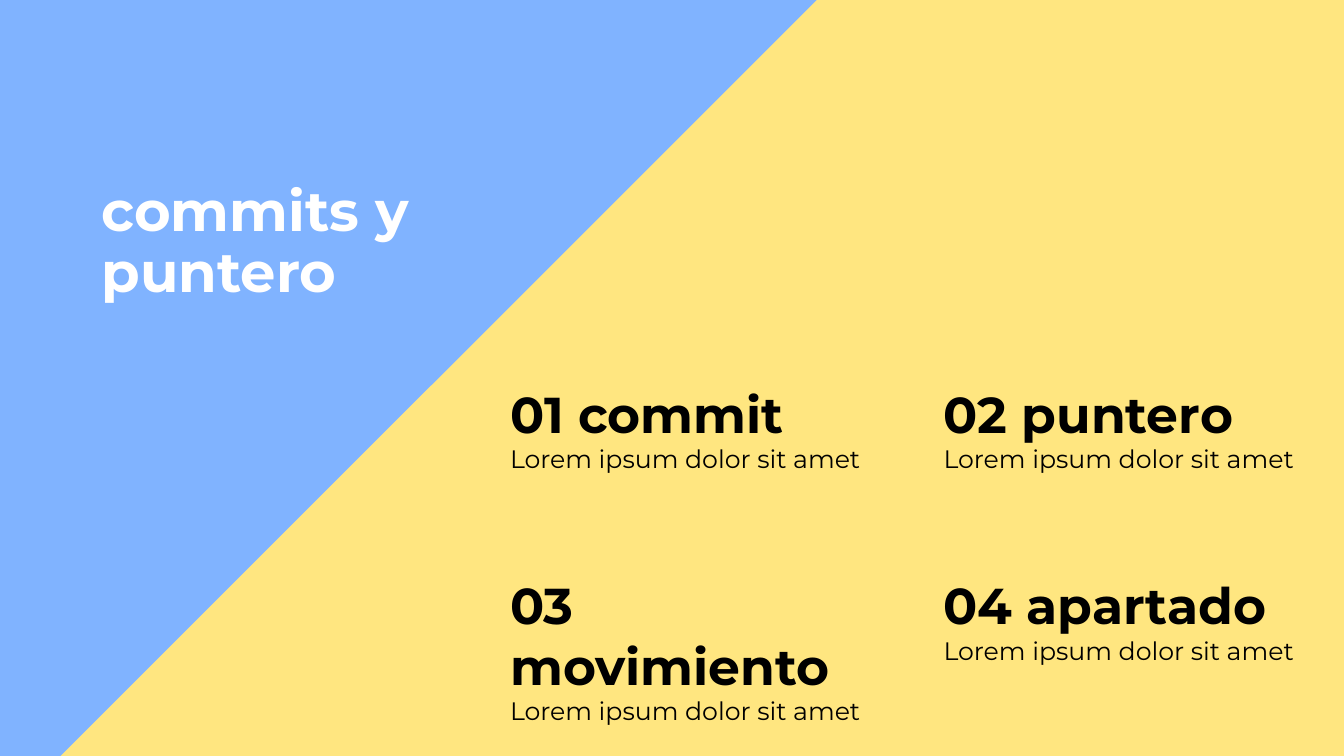
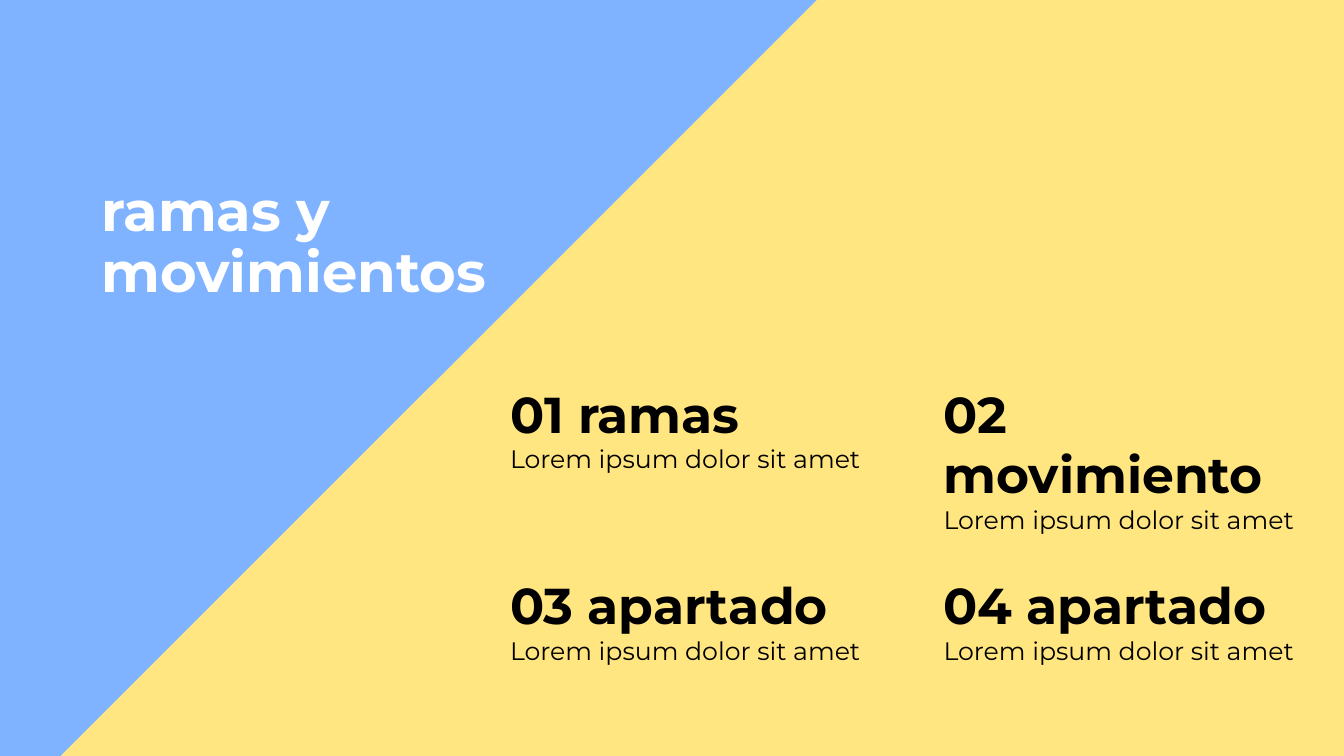
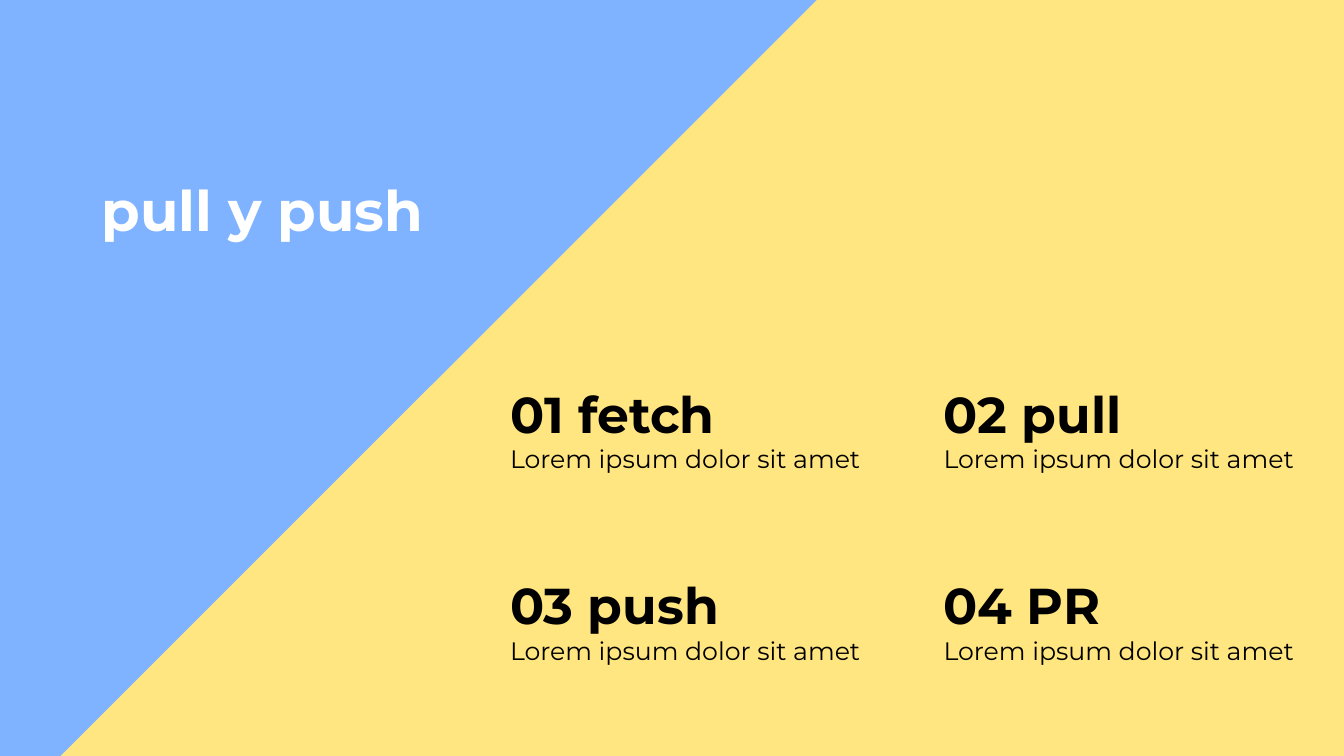
from pptx import Presentation
from pptx.dml.color import RGBColor
from pptx.enum.shapes import MSO_SHAPE as Shape
from pptx.enum.text import MSO_ANCHOR as Anchor, MSO_AUTO_SIZE as AutoSize, PP_ALIGN as Align
from pptx.util import Inches, Pt

WIDTH, HEIGHT = 13.33, 7.5
BLUE, YELLOW, WHITE, BLACK = "80B3FF", "FFE680", "FFFFFF", "000000"
FONT = "Montserrat"
TITLE = {"size": Pt(40), "bold": True, "name": FONT}
HEADING = {"size": Pt(36), "bold": True, "name": FONT}
BODY = {"size": Pt(18), "bold": False, "name": FONT}

TITLE_BOX = (0.91, 1.77, 4.28, 3.12)
DIAGONAL_BOX = (4.21, -1.47, 9.43, 14.63)
TOPICS_BOX = (4.96, 3.75, 8.05, 2.91)
TOPIC_WIDTH, TOPIC_HEIGHT = 3.75, 1.01
DESCRIPTION = "Lorem ipsum dolor sit amet"

SECTIONS = [
    ("commits y puntero", ["commit", "puntero", "movimiento", "apartado"]),
    ("ramas y movimientos", ["ramas", "movimiento", "apartado", "apartado"]),
    ("pull y push", ["fetch", "pull", "push", "PR"]),
]


def color(value):
    return RGBColor.from_string(value)


def add_panel(slide, box, fill, rotation=0):
    panel = slide.shapes.add_shape(Shape.RECTANGLE, *map(Inches, box))
    panel.shadow.inherit = False
    panel.fill.solid()
    panel.fill.fore_color.rgb = color(fill)
    panel.line.fill.background()
    panel.rotation = rotation


def add_text(slide, box, lines, ink, spacing=1.0, auto_size=AutoSize.NONE):
    frame = slide.shapes.add_textbox(*map(Inches, box)).text_frame
    frame.word_wrap = True
    frame.auto_size = auto_size
    frame.vertical_anchor = Anchor.TOP
    for index, (text, style) in enumerate(lines):
        paragraph = frame.add_paragraph() if index else frame.paragraphs[0]
        paragraph.alignment = Align.LEFT
        paragraph.line_spacing = spacing
        run = paragraph.add_run()
        run.text = text
        run.font.color.rgb = color(ink)
        for attribute, value in style.items():
            setattr(run.font, attribute, value)


def add_topics(slide, box, topics):
    left, top, width, height = box
    column_step = width - TOPIC_WIDTH
    row_step = height - TOPIC_HEIGHT
    for index, topic in enumerate(topics):
        row, column = divmod(index, 2)
        topic_box = (left + column * column_step, top + row * row_step,
                     TOPIC_WIDTH, TOPIC_HEIGHT)
        lines = [(f"{index + 1:02d} {topic}", HEADING), (DESCRIPTION, BODY)]
        add_text(slide, topic_box, lines, BLACK, auto_size=AutoSize.SHAPE_TO_FIT_TEXT)


def add_section(deck, title, topics):
    slide = deck.slides.add_slide(deck.slide_layouts[6])
    add_panel(slide, (0, 0, WIDTH, HEIGHT), BLUE)
    add_text(slide, TITLE_BOX, [(title, TITLE)], WHITE, spacing=0.9)
    add_panel(slide, DIAGONAL_BOX, YELLOW, rotation=45)
    add_topics(slide, TOPICS_BOX, topics)


def main():
    deck = Presentation()
    deck.slide_width, deck.slide_height = Inches(WIDTH), Inches(HEIGHT)
    for title, topics in SECTIONS:
        add_section(deck, title, topics)
    deck.save("out.pptx")


if __name__ == "__main__":
    main()
